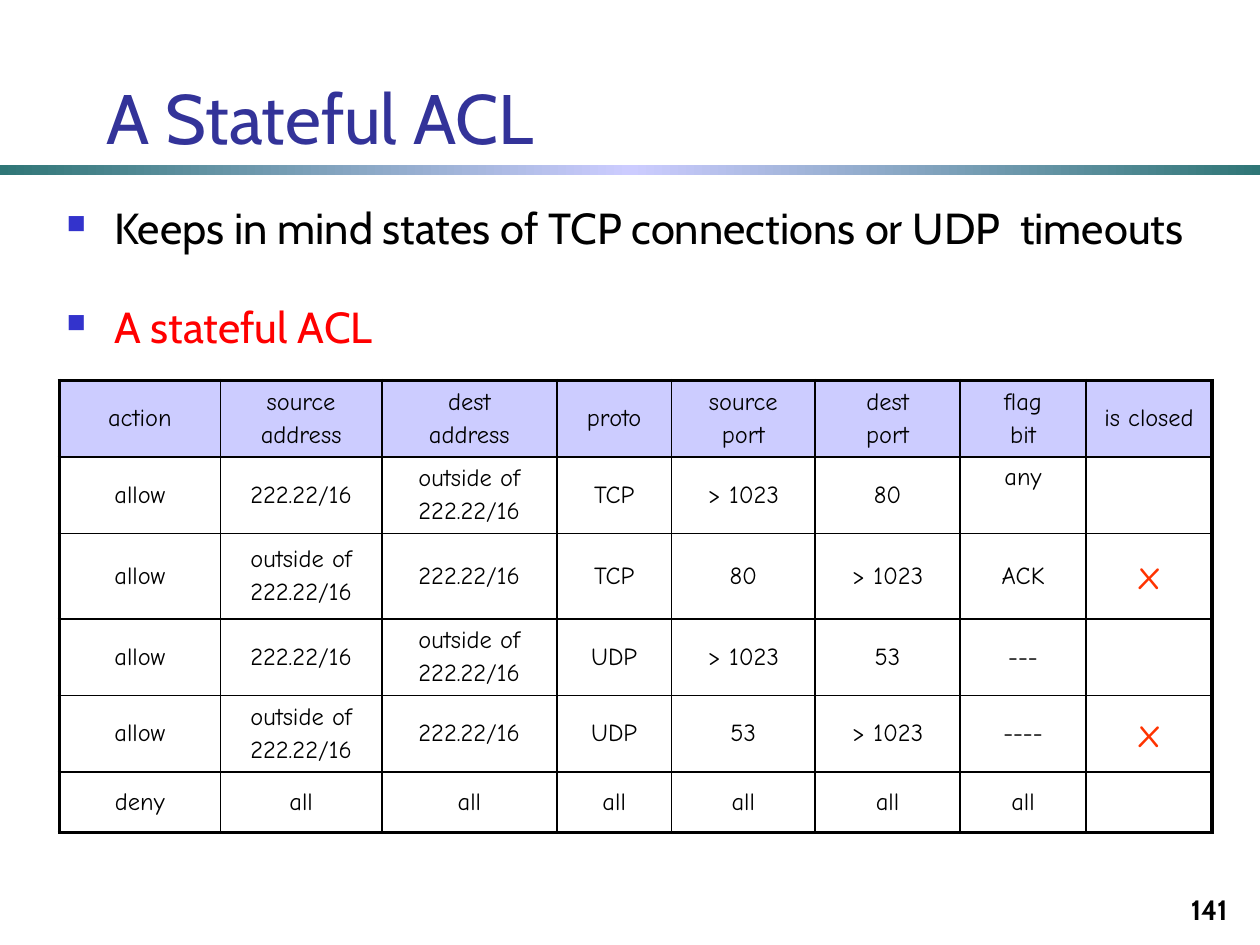
from pptx import Presentation
from pptx.dml.color import RGBColor as Rgb
from pptx.enum.shapes import MSO_SHAPE as Shape
from pptx.enum.text import MSO_ANCHOR as Anchor, PP_ALIGN as Align
from pptx.oxml import parse_xml as to_xml
from pptx.oxml.ns import nsdecls
from pptx.util import Inches, Pt

HUES = {"title": "333399", "text": "000000", "alert": "FF0000", "cross": "FF3300",
        "head": "CCCCFF", "teal": "2F7676", "mark": "3333CC"}
NS = nsdecls("a")
COLS = [1.28, 1.28, 1.39, 0.91, 1.14, 1.15, 1, 1]
HIGHS = [0.59, 0.59, 0.68, 0.59, 0.59, 0.48]
HOME, AWAY = "222.22/16", "outside of\n222.22/16"
ROWS = [
    ["action", "source\naddress", "dest\naddress", "proto",
     "source\nport", "dest\nport", "flag\nbit", "is closed"],
    ["allow", HOME, AWAY, "TCP", "> 1023", "80", "any", ""],
    ["allow", AWAY, HOME, "TCP", "80", "> 1023", "ACK", "x"],
    ["allow", HOME, AWAY, "UDP", "> 1023", "53", "---", ""],
    ["allow", AWAY, HOME, "UDP", "53", "> 1023", "----", "x"],
    ["deny"] + ["all"] * 6 + [""],
]


class Deck:
    """Hold the style and the current slide, and draw each kind of element."""

    def __init__(self):
        self.show = Presentation()
        self.show.slide_width, self.show.slide_height = Inches(10), Inches(7.5)
        self.slide = self.show.slides.add_slide(self.show.slide_layouts[6])
        self.face = "Cabin"

    def words(self, para, text, size, hue="text", **form):
        run = para.add_run()
        run.text = text
        form = {"name": self.face, "size": Pt(size), **form}
        for key, value in form.items():
            setattr(run.font, key, value)
        run.font.color.rgb = Rgb.from_string(HUES[hue])

    def frame(self, x, y, w, h, anchor=Anchor.TOP):
        box = self.slide.shapes.add_textbox(*map(Inches, (x, y, w, h)))
        frame = box.text_frame
        frame.word_wrap = True
        frame.vertical_anchor = anchor
        return frame

    def label(self, area, text, size, hue="text", align=Align.LEFT, **form):
        para = self.frame(*area, Anchor.BOTTOM).paragraphs[0]
        para.alignment = align
        self.words(para, text, size, hue, **form)

    def band(self, x, y, w, h, hues):
        bar = self.slide.shapes.add_shape(Shape.RECTANGLE, *map(Inches, (x, y, w, h)))
        bar.shadow.inherit = False
        bar.line.fill.background()
        last = len(hues) - 1
        stops = "".join(
            f'<a:gs pos="{i * 100000 // last}"><a:srgbClr val="{HUES[hue]}"/></a:gs>'
            for i, hue in enumerate(hues))
        fill = to_xml(f'<a:gradFill {NS}><a:gsLst>{stops}</a:gsLst><a:lin ang="0"/></a:gradFill>')
        bar._element.spPr.find("{*}prstGeom").addnext(fill)

    def bullets(self, area, items, size, gap):
        frame = self.frame(*area)
        for i, (text, hue) in enumerate(items):
            para = frame.add_paragraph() if i else frame.paragraphs[0]
            props = para._p.get_or_add_pPr()
            props.set("marL", str(Inches(0.38)))
            props.set("indent", str(-Inches(0.38)))
            for tag in (f'<a:buClr {NS}><a:srgbClr val="{HUES["mark"]}"/></a:buClr>',
                        f'<a:buSzPct {NS} val="60000"/>', f'<a:buChar {NS} char="■"/>'):
                props.append(to_xml(tag))
            if i:
                para.space_before = Pt(gap)
            self.words(para, text, size, hue)

    def border(self, cell, edges):
        props = cell._tc.get_or_add_tcPr()
        for i, (side, thick) in enumerate(edges.items()):
            line = (f'<a:ln{side} {NS} w="{Pt(2.25 if thick else 1)}"><a:solidFill>'
                    f'<a:srgbClr val="{HUES["text"]}"/></a:solidFill></a:ln{side}>')
            props.insert(i, to_xml(line))

    def cell(self, cell, text, head):
        cell.vertical_anchor = Anchor.TOP if text == "any" else Anchor.MIDDLE
        if head:
            cell.fill.solid()
            cell.fill.fore_color.rgb = Rgb.from_string(HUES["head"])
        else:
            cell.fill.background()
        size, hue = (24, "cross") if text == "x" else (14, "text")
        for i, line in enumerate(text.split("\n") if text else []):
            para = cell.text_frame.add_paragraph() if i else cell.text_frame.paragraphs[0]
            para.alignment = Align.CENTER
            if i:
                para.space_before = Pt(2.8)
            self.words(para, line, size, hue, name="Comic Neue")

    def table(self, x, y, rows, cols, highs):
        area = map(Inches, (x, y, sum(cols), sum(highs)))
        grid = self.slide.shapes.add_table(len(rows), len(cols), *area).table
        grid.first_row = grid.horz_banding = False
        for col, wide in zip(grid.columns, cols):
            col.width = Inches(wide)
        for r, (row, high) in enumerate(zip(rows, highs)):
            grid.rows[r].height = Inches(high)
            for c, text in enumerate(row):
                cell = grid.cell(r, c)
                self.cell(cell, text, r == 0)
                self.border(cell, {"L": c == 0, "R": c == len(cols) - 1,
                                   "T": r == 0, "B": r == len(rows) - 1})


def main():
    deck = Deck()
    deck.band(0, 1.31, 10, 0.08, ["teal", "head", "teal"])
    deck.label((0.75, 0.36, 9.25, 0.95), "A Stateful ACL", 40, "title")
    deck.bullets((0.43, 1.55, 9.37, 1.5), [
        ("Keeps in mind states of TCP connections or UDP  timeouts", "text"),
        ("A stateful ACL", "alert")], 24.8, 26.5)
    deck.label((7.76, 6.9, 2.08, 0.5), "141", 16, align=Align.RIGHT, bold=True)
    deck.table(0.47, 3.02, ROWS, COLS, HIGHS)
    deck.show.save("out.pptx")


if __name__ == "__main__":
    main()
